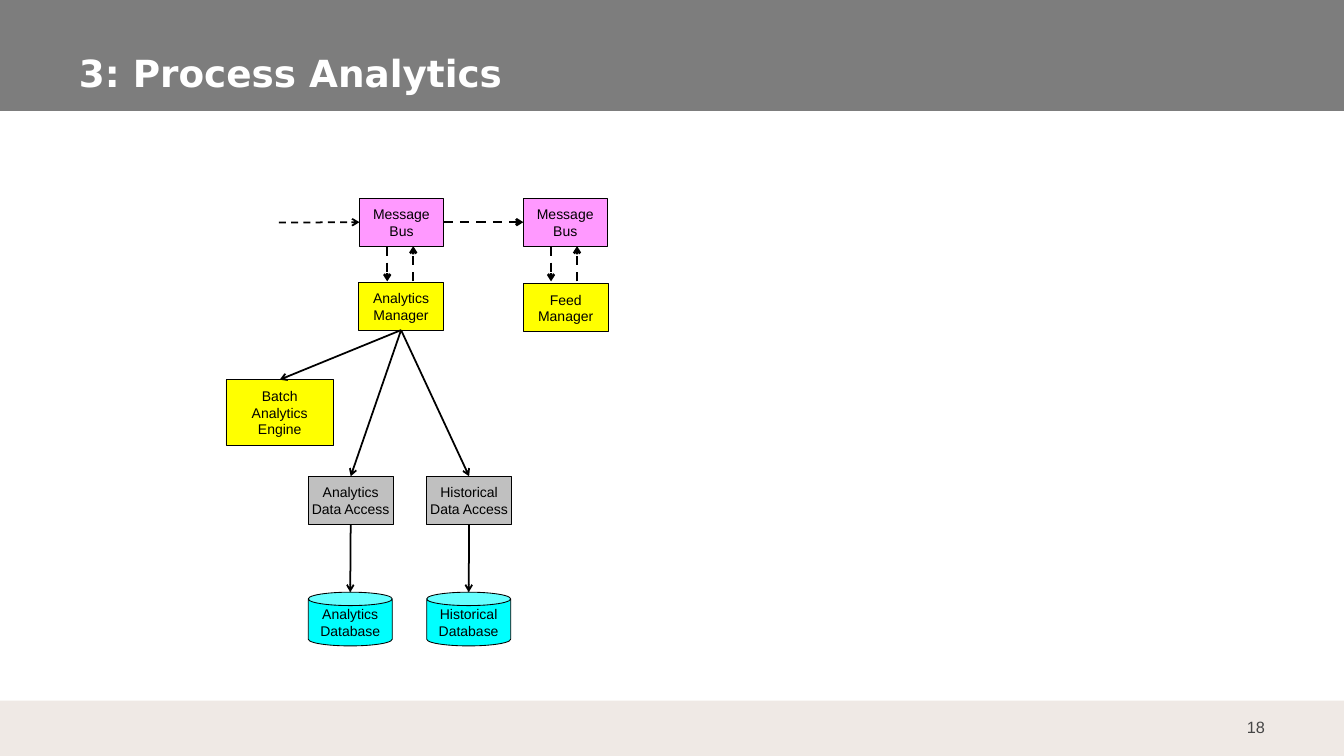
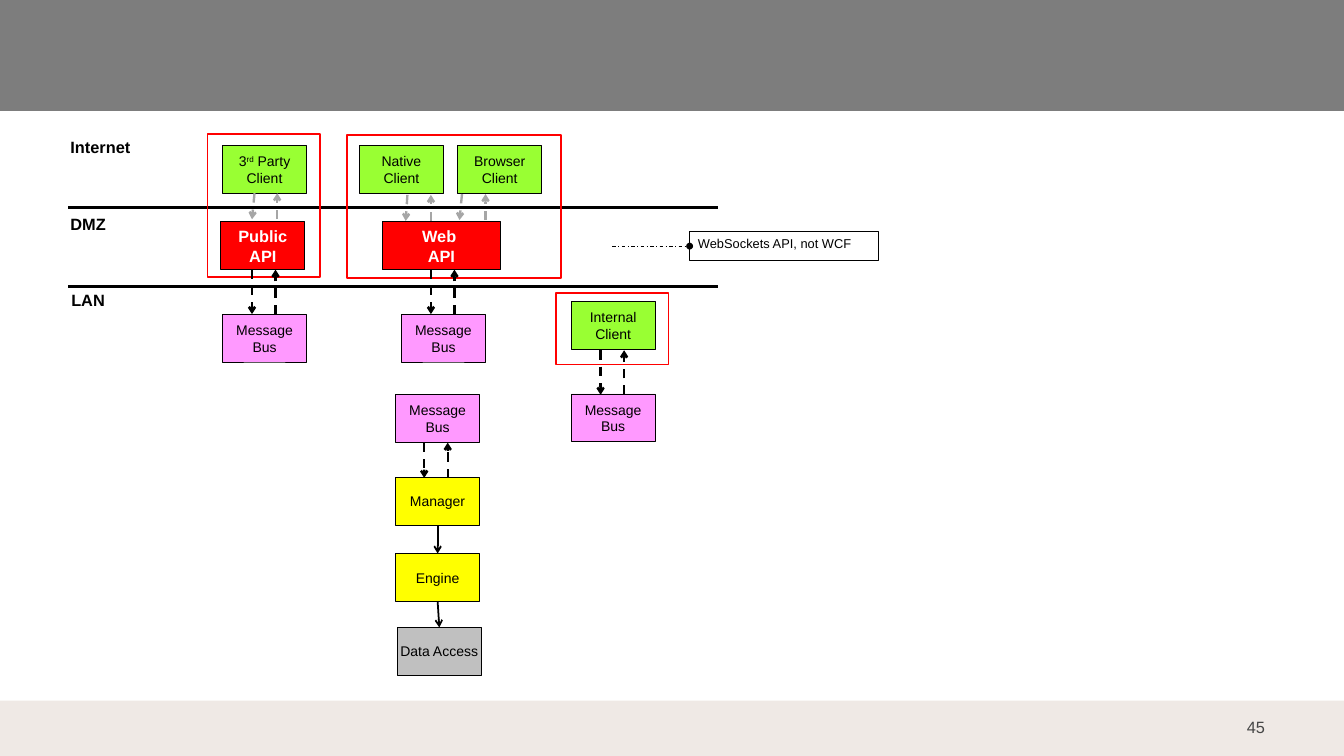
import pptx
import pptx.util
import pptx.dml.color
import pptx.enum.dml
import pptx.enum.shapes
import pptx.enum.text
import pptx.oxml.ns
import lxml.etree
from dataclasses import dataclass

PX = 9144  # EMU per px, 100 px to the inch
SHAPE = pptx.enum.shapes.MSO_SHAPE
ALIGN = pptx.enum.text.PP_ALIGN
ANCHOR = pptx.enum.text.MSO_ANCHOR
FIT = pptx.enum.text.MSO_AUTO_SIZE
DASHES = {"dash": pptx.enum.dml.MSO_LINE.DASH, "dashDot": pptx.enum.dml.MSO_LINE.DASH_DOT}
TOP, LEFT, BOTTOM, RIGHT = range(4)


@dataclass(frozen=True)
class Theme:
    font: str = "Arial"
    title_font: str = "DejaVu Sans"
    title_pt: int = 32
    label_pt: int = 14
    node_pt: int = 12
    note_pt: int = 11
    black: str = "000000"
    white: str = "FFFFFF"
    band: str = "7D7D7D"
    footer: str = "EFE9E5"
    number: str = "464646"
    bus: str = "FF99FF"
    logic: str = "FFFF00"
    access: str = "C0C0C0"
    store: str = "00FFFF"
    client: str = "99FF33"
    red: str = "FF0000"
    muted: str = "A6A6A6"


T = Theme()

# Content. Nodes: key: (text, kind, left, top[, width, height])
NODE_W, NODE_H = 100, 57
KIND_FILL = {"bus": T.bus, "logic": T.logic, "access": T.access,
             "store": T.store, "client": T.client, "api": T.red}

# Links: (from node or point, side, to node, side, points, dash, arrowhead)
# Pairs of calls and replies: (x, top, bottom, gap, slant, colour)
ANALYTICS = {
    "title": "3: Process Analytics",
    "number": "18",
    "nodes": {
        "analytics db": ("Analytics\nDatabase", "store", 367, 705, 100, 64),
        "analytics": ("Analytics\nManager", "logic", 427, 336, 101, 57),
        "batch": ("Batch\nAnalytics\nEngine", "logic", 269, 452, 128, 78),
        "analytics access": ("Analytics\nData Access", "access", 367, 567, 101, 57),
        "feed": ("Feed\nManager", "logic", 623, 338, 101, 57),
        "historical db": ("Historical\nDatabase", "store", 508, 705, 100, 64),
        "historical access": ("Historical\nData Access", "access", 508, 567, 101, 57),
        "bus": ("Message\nBus", "bus", 428, 236),
        "feed bus": ("Message\nBus", "bus", 623, 236),
    },
    "links": [
        ("analytics", BOTTOM, "batch", TOP, 1.5, None, "arrow"),
        ("analytics", BOTTOM, "analytics access", TOP, 1.5, None, "arrow"),
        ("analytics", BOTTOM, "historical access", TOP, 1.5, None, "arrow"),
        ("analytics access", BOTTOM, "analytics db", TOP, 1.5, None, "arrow"),
        ("historical access", BOTTOM, "historical db", TOP, 1.5, None, "arrow"),
        ((332, 265), None, "bus", LEFT, 1.5, "dash", "arrow"),
        ("bus", RIGHT, "feed bus", LEFT, 2, "dash", "arrow"),
    ],
    "pairs": [(x, 293, 335, 31, 0, T.black) for x in (461, 656)],
}

ZONES = {
    "number": "45",
    "labels": [("Internet", 74, 158, 92), ("DMZ", 74, 250, 63), ("LAN", 75, 341, 61)],
    "borders": [247, 341],
    "nodes": {
        "browser": ("Browser\nClient", "client", 545, 173),
        "web": ("Web \nAPI", "api", 455, 264, 141, 57),
        "internal": ("Internal\nClient", "client", 680, 359),
        "third party": ("3^rd^ Party\nClient", "client", 265, 173),
        "public": ("Public\nAPI", "api", 263, 264),
        "native": ("Native\nClient", "client", 428, 173),
        "access": ("Data Access", "access", 473, 747),
        "manager": ("Manager", "logic", 471, 568),
        "engine": ("Engine", "logic", 471, 659),
        "public bus": ("Message\nBus", "bus", 265, 374),
        "web bus": ("Message\nBus", "bus", 478, 374),
        "internal bus": ("Message\nBus", "bus", 680, 469),
        "manager bus": ("Message\nBus", "bus", 471, 470),
        "note": ("WebSockets API, not WCF", "note", 821, 276, 225, 34),
    },
    "frames": [(247, 160, 134, 170), (413, 161, 255, 170), (662, 349, 134, 85)],
    "links": [
        ("manager", BOTTOM, "engine", TOP, 1.5, None, "arrow"),
        ("engine", BOTTOM, "access", TOP, 1.5, None, "arrow"),
        ((729, 293), None, "note", LEFT, 0.75, "dashDot", "oval"),
    ],
    "pairs": [
        (300, 321, 374, 28, 0, T.black),
        (513, 321, 374, 28, 0, T.black),
        (715, 417, 470, 28, 0, T.black),
        (505, 527, 569, 28, 0, T.black),
        (303, 230, 261, 27, 3, T.muted),
        (485, 232, 263, 28, 2, T.muted),
        (550, 231, 262, 28, 3, T.muted),
    ],
}


def emu(*lengths):
    return [pptx.util.Emu(n * PX) for n in lengths]


def rgb(colour):
    return pptx.dml.color.RGBColor.from_string(colour)


def set_text(sp, text, size, colour, bold=False, align=ALIGN.LEFT, font=T.font):
    """Fill a text frame line by line; ^ marks switch superscript on and off."""
    tf = sp.text_frame
    for i, line in enumerate(text.split("\n")):
        p = tf.paragraphs[0] if i == 0 else tf.add_paragraph()
        p.alignment = align
        for j, part in enumerate(line.split("^")):
            r = p.add_run()
            r.text = part
            r.font.name, r.font.size, r.font.bold = font, pptx.util.Pt(size), bold
            r.font.color.rgb = rgb(colour)
            if j % 2:
                r.font._element.set("baseline", "30000")
    return tf


def set_margins(tf, x, y):
    tf.margin_left, tf.margin_right, tf.margin_top, tf.margin_bottom = emu(x, x, y, y)


def add_box(slide, box, fill=None, line=None, points=0.75, shape=SHAPE.RECTANGLE):
    sp = slide.shapes.add_shape(shape, *emu(*box))
    sp.shadow.inherit = False
    if fill:
        sp.fill.solid()
        sp.fill.fore_color.rgb = rgb(fill)
    else:
        sp.fill.background()
    if line:
        sp.line.color.rgb = rgb(line)
        sp.line.width = pptx.util.Pt(points)
    else:
        sp.line.fill.background()
    return sp


def add_line(slide, start, end, points=2, colour=T.black, dash=None, head=None):
    cx = slide.shapes.add_connector(pptx.enum.shapes.MSO_CONNECTOR.STRAIGHT,
                                    *emu(*start, *end))
    cx.line.color.rgb = rgb(colour)
    cx.line.width = pptx.util.Pt(points)
    if dash:
        cx.line.dash_style = DASHES[dash]
    qn = pptx.oxml.ns.qn
    if head:
        lxml.etree.SubElement(cx.line._get_or_add_ln(), qn("a:tailEnd"), type=head)
    lxml.etree.SubElement(cx._element.spPr, qn("a:effectLst"))
    return cx


def add_node(slide, text, kind, left, top, width=NODE_W, height=NODE_H):
    box = (left, top, width, height)
    if kind == "note":
        sp = add_box(slide, box, T.white, T.black, 1)
        tf = set_text(sp, text, T.note_pt, T.black)
        tf.word_wrap, tf.vertical_anchor = True, ANCHOR.TOP
        return sp
    shape = SHAPE.CAN if kind == "store" else SHAPE.RECTANGLE
    sp = add_box(slide, box, KIND_FILL[kind], T.black, shape=shape)
    api = kind == "api"
    tf = set_text(sp, text, T.label_pt if api else T.node_pt,
                  T.white if api else T.black, api, ALIGN.CENTER)
    tf.word_wrap, tf.vertical_anchor = False, ANCHOR.MIDDLE
    return sp


def add_link(slide, nodes, source, source_side, target, target_side, points, dash, head):
    start = (0, 0) if source in nodes else source
    cx = add_line(slide, start, (0, 0), points, dash=dash, head=head)
    if source in nodes:
        cx.begin_connect(nodes[source], source_side)
    cx.end_connect(nodes[target], target_side)


def add_pair(slide, x, top, bottom, gap, slant, colour):
    add_line(slide, (x, top), (x - slant, bottom), 2, colour, "dash", "arrow")
    add_line(slide, (x + gap, bottom), (x + gap, top), 2, colour, "dash", "arrow")


def add_base(prs, title, number):
    """Start a slide with its bands, page number and optional title."""
    slide = prs.slides.add_slide(prs.slide_layouts[5 if title else 6])
    add_box(slide, (-2, 0, 1605, 132), T.band)
    add_box(slide, (0, 834, 1600, 66), T.footer)
    sp = slide.shapes.add_textbox(*emu(1440, 842, 80, 48))
    tf = set_text(sp, number, T.label_pt, T.number, align=ALIGN.RIGHT)
    tf.word_wrap, tf.vertical_anchor = True, ANCHOR.MIDDLE
    set_margins(tf, 14, 7)
    if title:
        sp = slide.shapes.title
        sp.left, sp.top, sp.width, sp.height = emu(80, 46, 1421, 74)
        tf = set_text(sp, title, T.title_pt, T.white, True, font=T.title_font)
        tf.auto_size, tf.vertical_anchor = FIT.NONE, ANCHOR.BOTTOM
        set_margins(tf, 14, 7)
        slide.shapes._spTree.append(sp._element)  # in front of the band
    return slide


def build(prs, content):
    slide = add_base(prs, content.get("title"), content["number"])
    # Zones
    for text, left, top, width in content.get("labels", []):
        sp = slide.shapes.add_textbox(*emu(left, top, width, 34))
        tf = set_text(sp, text, T.label_pt, T.black, True)
        tf.word_wrap, tf.auto_size = False, FIT.SHAPE_TO_FIT_TEXT
    for y in content.get("borders", []):
        add_line(slide, (81, y), (855, y))
    # Components and their groups
    nodes = {key: add_node(slide, *node) for key, node in content["nodes"].items()}
    for frame in content.get("frames", []):
        add_box(slide, frame, line=T.red, points=1.5)
    # Arrows
    for link in content["links"]:
        add_link(slide, nodes, *link)
    for pair in content["pairs"]:
        add_pair(slide, *pair)


def main():
    prs = pptx.Presentation()
    prs.slide_width, prs.slide_height = emu(1600, 900)
    for content in (ANALYTICS, ZONES):
        build(prs, content)
    prs.save("out.pptx")


if __name__ == "__main__":
    main()
